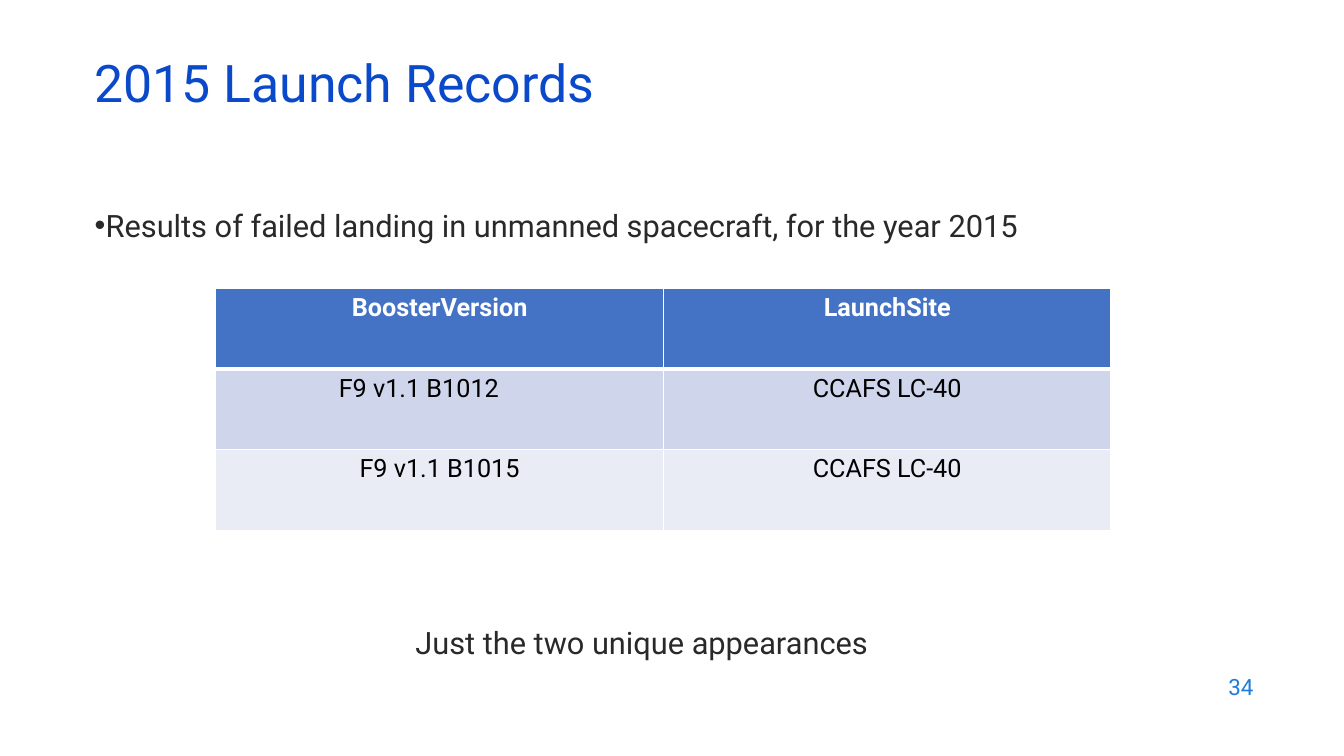
from lxml.etree import SubElement
from pptx import Presentation
from pptx.dml.color import RGBColor
from pptx.enum.text import MSO_ANCHOR, PP_ALIGN
from pptx.oxml.ns import qn
from pptx.util import Inches, Pt

TITLE_BLUE = RGBColor(0x0B, 0x49, 0xCB)
NUMBER_BLUE = RGBColor(0x1C, 0x7D, 0xDB)
BODY_GRAY = RGBColor(0x29, 0x29, 0x29)
WHITE = RGBColor(0xFF, 0xFF, 0xFF)
BLACK = RGBColor(0x00, 0x00, 0x00)
HEADER_FILL = RGBColor(0x44, 0x72, 0xC4)
BAND_FILLS = [RGBColor(0xE9, 0xEB, 0xF5), RGBColor(0xCF, 0xD5, 0xEA)]
FONT = "Roboto"

LAUNCH_RECORDS = [
    ["BoosterVersion", "LaunchSite"],
    ["F9 v1.1 B1012\t", "CCAFS LC-40"],
    ["F9 v1.1 B1015", "CCAFS LC-40"],
]


def add_run(paragraph, text, size, color, bold=False):
    run = paragraph.add_run()
    run.text = text
    run.font.name = FONT
    run.font.size = Pt(size)
    run.font.bold = bold
    run.font.color.rgb = color


def add_text(slide, text, left, top, width, height, size, color,
             align=PP_ALIGN.LEFT, anchor=MSO_ANCHOR.TOP):
    box = slide.shapes.add_textbox(Inches(left), Inches(top), Inches(width), Inches(height))
    frame = box.text_frame
    frame.word_wrap = True
    frame.vertical_anchor = anchor
    paragraph = frame.paragraphs[0]
    paragraph.alignment = align
    add_run(paragraph, text, size, color)
    return paragraph


def add_bullet(paragraph, indent):
    properties = paragraph._p.get_or_add_pPr()
    properties.set("marL", str(Inches(indent)))
    properties.set("indent", str(-Inches(indent)))
    SubElement(properties, qn("a:buFont"), typeface="Arial")
    SubElement(properties, qn("a:buChar"), char="•")


def add_borders(cell, top, bottom):
    properties = cell._tc.get_or_add_tcPr()
    for side, points in (("L", 1), ("R", 1), ("T", top), ("B", bottom)):
        line = SubElement(properties, qn(f"a:ln{side}"), w=str(Pt(points)))
        fill = SubElement(line, qn("a:solidFill"))
        SubElement(fill, qn("a:srgbClr"), val=str(WHITE))


def add_table(slide, records, left, top, column_width, row_height):
    columns = len(records[0])
    table = slide.shapes.add_table(
        len(records), columns, Inches(left), Inches(top),
        Inches(column_width * columns), Inches(row_height * len(records))).table
    for column in table.columns:
        column.width = Inches(column_width)
    for row_index, record in enumerate(records):
        table.rows[row_index].height = Inches(row_height)
        is_header = row_index == 0
        for column_index, text in enumerate(record):
            cell = table.cell(row_index, column_index)
            # A thick rule separates the header from the records
            add_borders(cell, top=3 if row_index == 1 else 1, bottom=3 if is_header else 1)
            cell.fill.solid()
            cell.fill.fore_color.rgb = HEADER_FILL if is_header else BAND_FILLS[row_index % 2]
            paragraph = cell.text_frame.paragraphs[0]
            paragraph.alignment = PP_ALIGN.CENTER
            add_run(paragraph, text, 18, WHITE if is_header else BLACK, bold=is_header)


def main():
    presentation = Presentation()
    presentation.slide_width = Inches(13.33)
    presentation.slide_height = Inches(7.5)
    slide = presentation.slides.add_slide(presentation.slide_layouts[6])

    # Slide number
    add_text(slide, "34", 9.53, 6.59, 3, 0.44, 16, NUMBER_BLUE,
             PP_ALIGN.RIGHT, MSO_ANCHOR.MIDDLE)

    # Title and introduction
    title = add_text(slide, "2015 Launch Records", 0.84, 0.59, 11.5, 0.6, 37, TITLE_BLUE,
                     anchor=MSO_ANCHOR.MIDDLE)
    title.line_spacing = 0.7
    introduction = add_text(
        slide, "Results of failed landing in unmanned spacecraft, for the year 2015",
        0.84, 2, 10.66, 0.72, 22, BODY_GRAY)
    add_bullet(introduction, 0.11)

    # Launch records and closing remark
    add_table(slide, LAUNCH_RECORDS, 2.14, 2.86, 4.44, 0.8)
    add_text(slide, "Just the two unique appearances", 1.48, 6.14, 9.77, 0.47, 22, BODY_GRAY,
             PP_ALIGN.CENTER)

    presentation.save("out.pptx")


if __name__ == "__main__":
    main()
